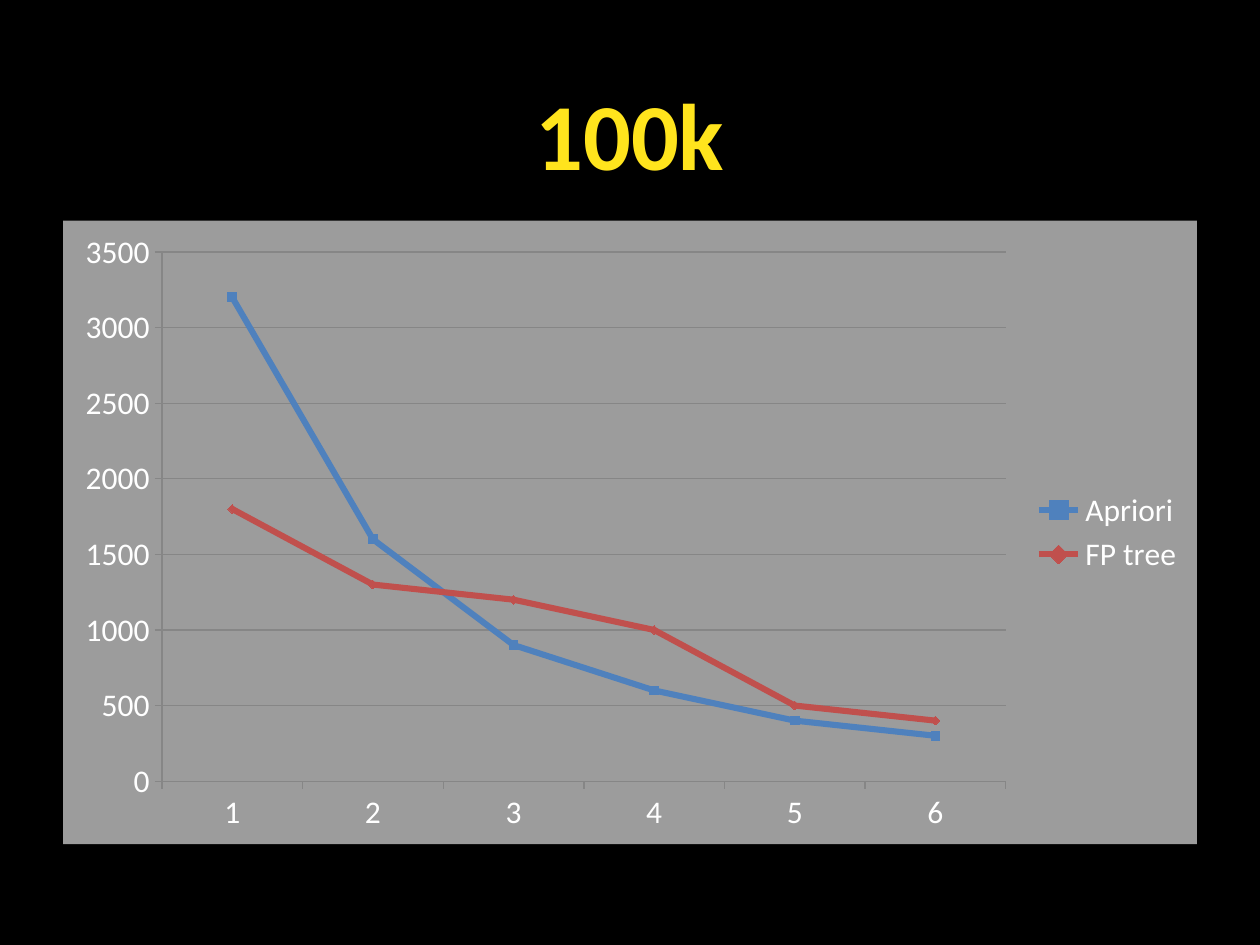
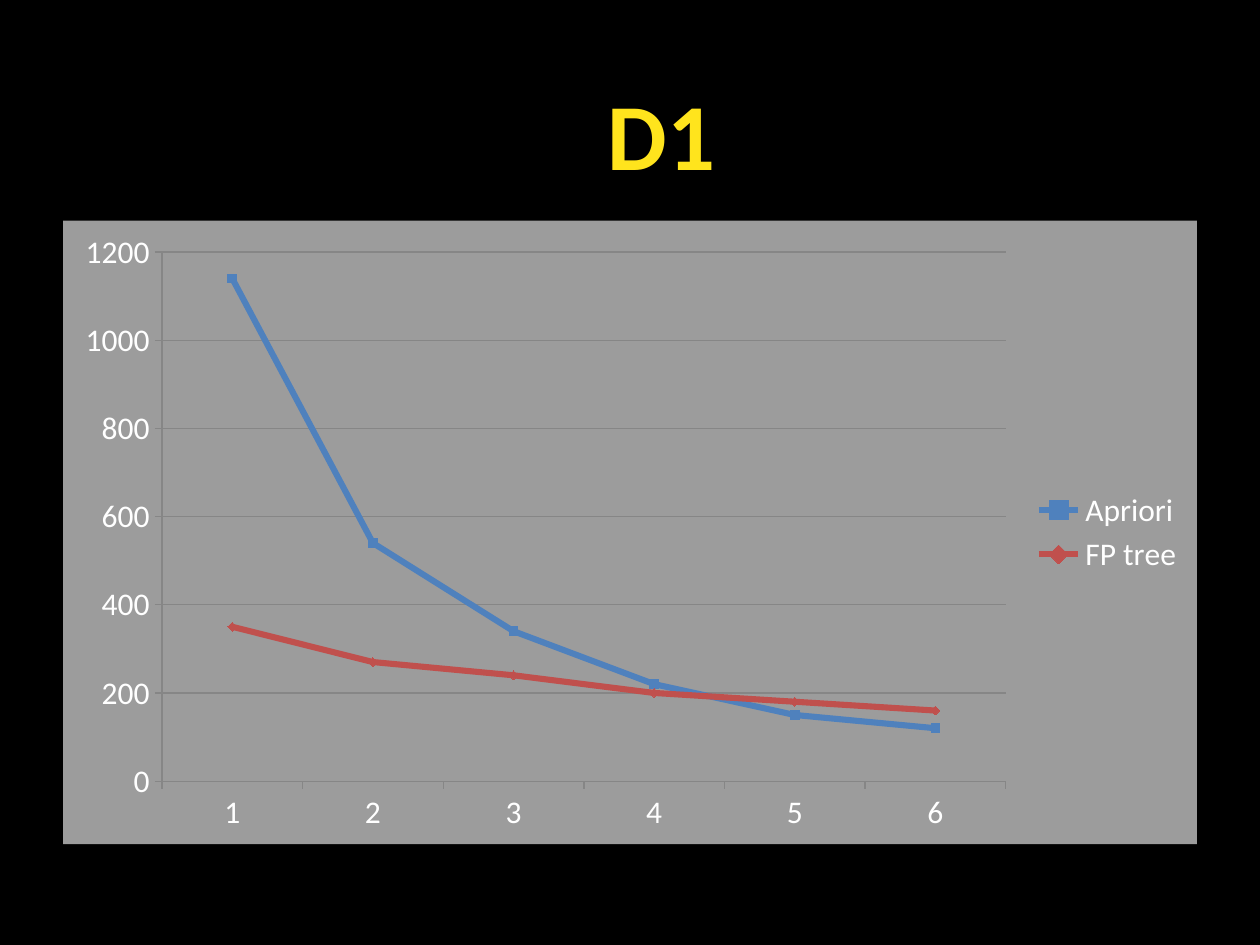
from lxml import etree
from pptx import Presentation
from pptx.chart.data import CategoryChartData
from pptx.dml.color import RGBColor
from pptx.enum.chart import (XL_CHART_TYPE, XL_LEGEND_POSITION,
                             XL_MARKER_STYLE, XL_TICK_MARK)
from pptx.enum.text import MSO_ANCHOR, MSO_AUTO_SIZE, PP_ALIGN
from pptx.oxml import parse_xml
from pptx.oxml.ns import nsdecls, qn
from pptx.util import Inches, Pt

LINE_MARKERS = XL_CHART_TYPE.LINE_MARKERS
LEGEND_RIGHT = XL_LEGEND_POSITION.RIGHT
SQUARE, DIAMOND = XL_MARKER_STYLE.SQUARE, XL_MARKER_STYLE.DIAMOND
TICK_OUT = XL_TICK_MARK.OUTSIDE
CENTER = PP_ALIGN.CENTER
TOP = MSO_ANCHOR.TOP
FIT_SHAPE = MSO_AUTO_SIZE.SHAPE_TO_FIT_TEXT

FONT = "Calibri"
BLACK, WHITE, YELLOW, GRAY = "000000", "FFFFFF", "FFE41D", "868686"
PANEL_OPACITY = 61
CATEGORIES = ["1", "2", "3", "4", "5", "6"]
SERIES_STYLES = {"Apriori": ("4F81BD", SQUARE), "FP tree": ("C0504D", DIAMOND)}

# Title, title left, title width, values by series
SLIDES = [
    ("100k", 4.14, 1.72, {"Apriori": [3200, 1600, 900, 600, 400, 300],
                          "FP tree": [1800, 1300, 1200, 1000, 500, 400]}),
    ("D1", 4.72, 1.06, {"Apriori": [1140, 540, 340, 220, 150, 120],
                        "FP tree": [350, 270, 240, 200, 180, 160]}),
]


def rgb(color):
    """Turn a hex string into a colour."""
    return RGBColor.from_string(color)


def style_font(font, size, color, bold=False):
    """Set the shared typeface with a size, colour and weight."""
    font.name, font.size, font.bold = FONT, Pt(size), bold
    font.color.rgb = rgb(color)


def style_line(line, color, width):
    """Set the colour and width of a line."""
    line.color.rgb = rgb(color)
    line.width = Pt(width)


def add_title(s, text, left, width):
    """Place and format the slide title."""
    sp = s.shapes.title
    sp.left, sp.top = Inches(left), Inches(0.55)
    sp.width, sp.height = Inches(width), Inches(1.01)
    tf = sp.text_frame
    tf.word_wrap = False
    tf.auto_size = FIT_SHAPE
    tf.vertical_anchor = TOP
    p = tf.paragraphs[0]
    p.alignment = CENTER
    r = p.add_run()
    r.text = text
    style_font(r.font, 54, YELLOW, bold=True)


def fill_chart(chart, color, opacity):
    """Give the chart area a translucent fill and no outline."""
    sp_pr = parse_xml(f"<c:spPr {nsdecls('c', 'a')}/>")
    solid = etree.SubElement(sp_pr, qn("a:solidFill"))
    clr = etree.SubElement(solid, qn("a:srgbClr"), val=color)
    etree.SubElement(clr, qn("a:alpha"), val=str(opacity * 1000))
    line = etree.SubElement(sp_pr, qn("a:ln"))
    etree.SubElement(line, qn("a:noFill"))
    chart.element.find(qn("c:chart")).addnext(sp_pr)


def style_axes(chart):
    """Draw gray axes with outside ticks and horizontal gridlines."""
    for axis in (chart.category_axis, chart.value_axis):
        axis.major_tick_mark = TICK_OUT
        style_line(axis.format.line, GRAY, 0.75)
    chart.value_axis.has_major_gridlines = True
    style_line(chart.value_axis.major_gridlines.format.line, GRAY, 0.75)


def style_series(series):
    """Colour the line and markers of one series."""
    color, marker_style = SERIES_STYLES[series.name]
    series.smooth = False
    style_line(series.format.line, color, 3.5)
    marker = series.marker
    marker.style, marker.size = marker_style, 5
    marker.format.fill.solid()
    marker.format.fill.fore_color.rgb = rgb(color)
    style_line(marker.format.line, color, 0.75)


def add_line_chart(s, values):
    """Add the line chart that compares the two algorithms."""
    data = CategoryChartData()
    data.categories = CATEGORIES
    for name, numbers in values.items():
        data.add_series(name, numbers)
    chart = s.shapes.add_chart(LINE_MARKERS, Inches(0.5), Inches(1.75),
                               Inches(9), Inches(4.95), data).chart
    chart.has_title = False
    chart.has_legend = True
    chart.legend.position = LEGEND_RIGHT
    chart.legend.include_in_layout = False
    style_font(chart.font, 18, WHITE)
    fill_chart(chart, WHITE, PANEL_OPACITY)
    style_axes(chart)
    plot = chart.plots[0]
    plot.vary_by_categories = False
    for series in plot.series:
        style_series(series)


def add_slide(prs, title, left, width, values):
    """Add a black slide with a title and a chart."""
    s = prs.slides.add_slide(prs.slide_layouts.get_by_name("Title Only"))
    s.background.fill.solid()
    s.background.fill.fore_color.rgb = rgb(BLACK)
    add_title(s, title, left, width)
    add_line_chart(s, values)


def main():
    """Build and save the presentation."""
    prs = Presentation()
    prs.slide_width, prs.slide_height = Inches(10), Inches(7.5)
    for content in SLIDES:
        add_slide(prs, *content)
    prs.save("out.pptx")


main()
